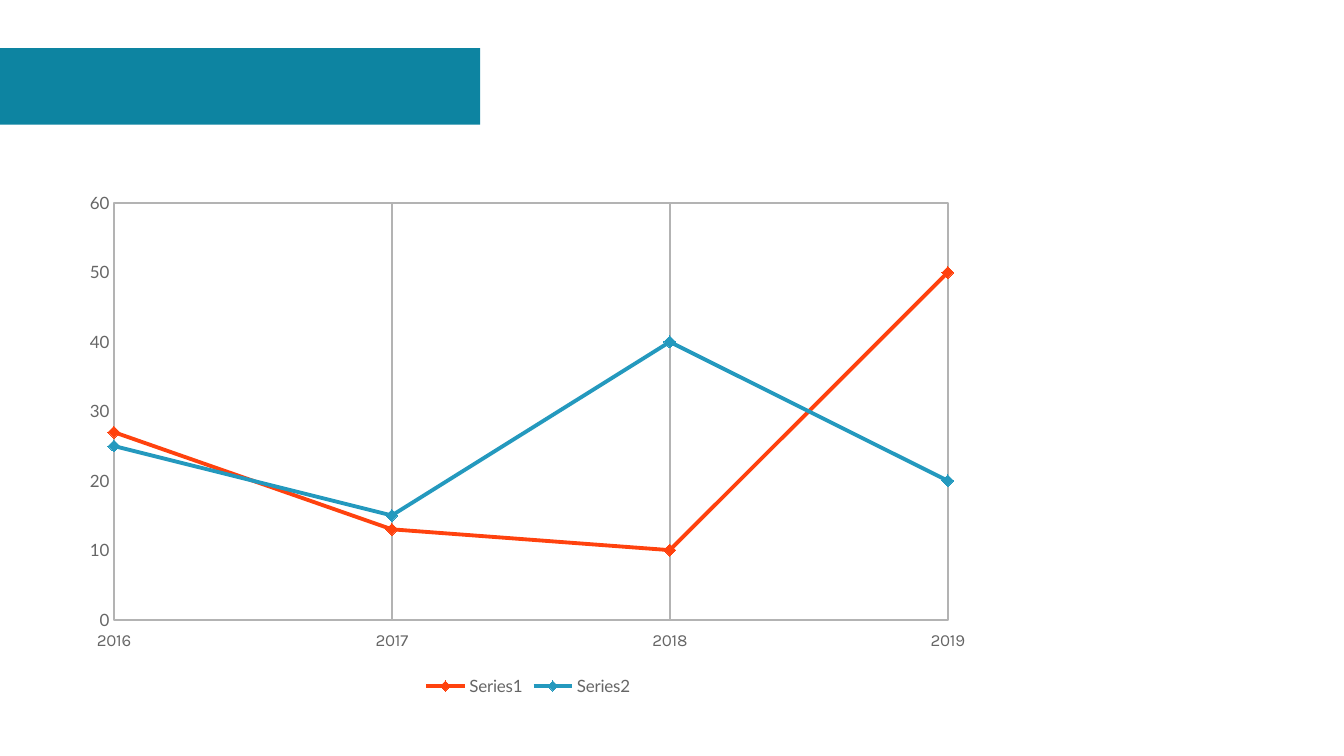
from lxml import etree
from pptx import Presentation
from pptx.chart.data import CategoryChartData
from pptx.dml.color import RGBColor
from pptx.enum.chart import XL_CHART_TYPE as ChartType
from pptx.enum.chart import XL_LEGEND_POSITION as LegendPosition
from pptx.enum.chart import XL_MARKER_STYLE as MarkerStyle
from pptx.enum.chart import XL_TICK_LABEL_POSITION as LabelPosition
from pptx.enum.chart import XL_TICK_MARK as TickMark
from pptx.enum.shapes import MSO_SHAPE
from pptx.oxml import parse_xml
from pptx.oxml.ns import nsdecls, qn
from pptx.util import Pt

COLORS = {
    "banner": "0D84A1",
    "grid": "B3B3B3",
    "label": "666666",
    "Series1": "FF420E",
    "Series2": "2499BE",
}
YEARS = ["2016", "2017", "2018", "2019"]
VALUES = {"Series1": [27, 13, 10, 50], "Series2": [25, 15, 40, 20]}
PLOT_FRAME = {"x": 0.046, "y": 0.039, "w": 0.914, "h": 0.804}


def color(name):
    return RGBColor.from_string(COLORS[name])


def style_font(font, typeface):
    font.name = typeface
    font.size = Pt(10)
    font.color.rgb = color("label")


def style_line(line, name, width):
    line.color.rgb = color(name)
    line.width = Pt(width)


def add_banner(slide):
    banner = slide.shapes.add_shape(MSO_SHAPE.RECTANGLE, 0, Pt(28.4), Pt(283.5), Pt(45.2))
    banner.shadow.inherit = False
    banner.fill.solid()
    banner.fill.fore_color.rgb = color("banner")
    banner.line.fill.background()


def style_axis(axis, typeface, gridlines):
    axis.major_tick_mark = axis.minor_tick_mark = TickMark.NONE
    axis.has_major_gridlines = gridlines
    if gridlines:
        style_line(axis.major_gridlines.format.line, "grid", 1)
    style_line(axis.format.line, "grid", 1)
    style_font(axis.tick_labels.font, typeface)


def style_series(series):
    style_line(series.format.line, series.name, 2.27)
    series.smooth = False
    marker = series.marker
    marker.style = MarkerStyle.DIAMOND
    marker.size = 7
    marker.format.fill.solid()
    marker.format.fill.fore_color.rgb = color(series.name)
    style_line(marker.format.line, series.name, 0.75)


def frame_plot(chart):
    """Fix the plot rectangle, outline it and start the lines on the value axis."""
    plot_area = chart.element.find(".//" + qn("c:plotArea"))
    for automatic in plot_area.findall(qn("c:layout")):
        plot_area.remove(automatic)
    layout = etree.Element(qn("c:layout"))
    manual = etree.SubElement(layout, qn("c:manualLayout"))
    settings = {"layoutTarget": "inner", "xMode": "edge", "yMode": "edge", **PLOT_FRAME}
    for tag, value in settings.items():
        etree.SubElement(manual, qn("c:" + tag)).set("val", str(value))
    plot_area.insert(0, layout)
    plot_area.append(parse_xml(
        f'<c:spPr {nsdecls("c", "a")}><a:noFill/><a:ln w="{Pt(1)}"><a:solidFill>'
        f'<a:srgbClr val="{COLORS["grid"]}"/></a:solidFill></a:ln></c:spPr>'
    ))
    crosses = plot_area.find(qn("c:valAx")).find(qn("c:crosses"))
    crosses.addnext(parse_xml(f'<c:crossBetween {nsdecls("c")} val="midCat"/>'))


def add_yearly_chart(slide):
    data = CategoryChartData(number_format="General")
    data.categories = YEARS
    for name, values in VALUES.items():
        data.add_series(name, values)
    chart = slide.shapes.add_chart(
        ChartType.LINE_MARKERS, Pt(42.5), Pt(108), Pt(538.6), Pt(306), data
    ).chart
    chart.has_title = False
    chart.font.name = "Arial"
    chart.font.size = Pt(10)

    years, amounts = chart.category_axis, chart.value_axis
    style_axis(years, "Karla", gridlines=True)
    years.tick_label_position = LabelPosition.LOW
    style_axis(amounts, "Lato", gridlines=False)
    amounts.minimum_scale, amounts.maximum_scale, amounts.major_unit = 0, 60, 10

    chart.plots[0].vary_by_categories = False
    for series in chart.plots[0].series:
        style_series(series)

    chart.has_legend = True
    chart.legend.position = LegendPosition.BOTTOM
    chart.legend.include_in_layout = False
    style_font(chart.legend.font, "Lato")
    frame_plot(chart)


def main():
    deck = Presentation()
    deck.slide_width, deck.slide_height = Pt(793.44), Pt(446.4)
    slide = deck.slides.add_slide(deck.slide_layouts[6])
    add_banner(slide)
    add_yearly_chart(slide)
    deck.save("out.pptx")


if __name__ == "__main__":
    main()
